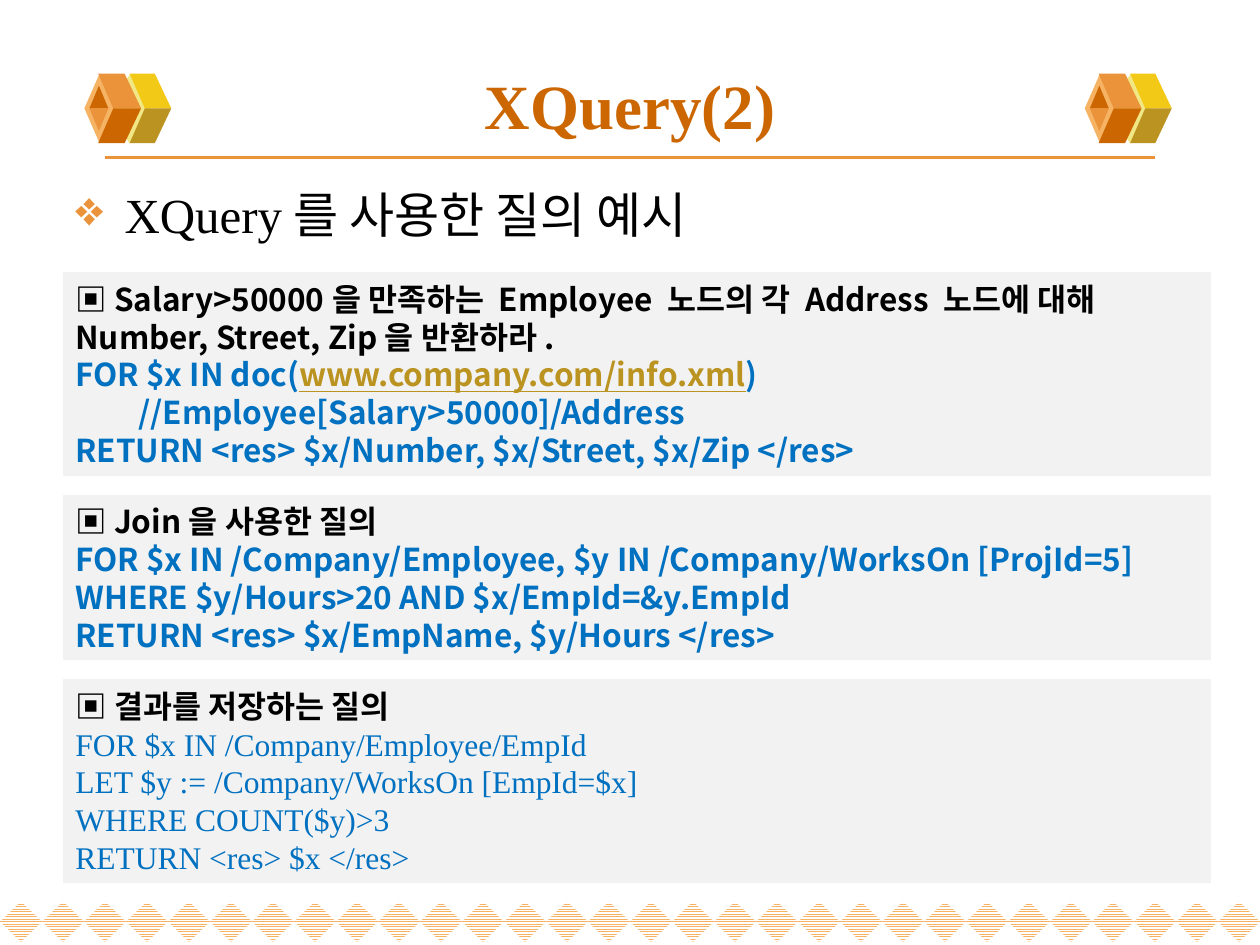
from lxml import etree
from pptx import Presentation
from pptx import util as u
from pptx.dml import color
from pptx.enum import dml, shapes, text
from pptx.oxml import ns

HUES = {
    "white": "FFFFFF", "black": "000000", "panel": "F2F2F2", "code": "0070C0",
    "rust": "CC6600", "orange": "EB933B", "peach": "F5B363",
    "cream": "F1E785", "yellow": "F3C917", "olive": "BB9321",
}
SERIF, SANS = "Times New Roman", "Noto Sans CJK KR"
COLS, ROWS = 100, 75


def rgb(name):
    """Return the named colour."""
    return color.RGBColor.from_string(HUES[name])


def node(root, tag, **attrs):
    """Append one drawing element to root."""
    return etree.SubElement(root, ns.qn(tag), attrs)


class Deck:
    """Hold the style and the current slide, on a 100 by 75 grid."""

    def __init__(self):
        self.prs = Presentation()
        self.prs.slide_width, self.prs.slide_height = u.Inches(10), u.Inches(7.5)
        self.slide = self.prs.slides.add_slide(self.prs.slide_layouts[6])
        self.items = self.slide.shapes

    def x(self, col):
        """Turn columns into a length."""
        return round(self.prs.slide_width * col / COLS)

    def y(self, row):
        """Turn rows into a length."""
        return round(self.prs.slide_height * row / ROWS)

    def area(self, box):
        """Turn a grid box into lengths."""
        left, top, wide, high = box
        return self.x(left), self.y(top), self.x(wide), self.y(high)

    def paint(self, item, hue):
        """Give a shape a plain fill without line or shadow."""
        item.shadow.inherit = False
        item.line.fill.background()
        item.fill.solid()
        item.fill.fore_color.rgb = rgb(hue)
        return item

    def shape(self, kind, box, hue):
        """Add a preset shape."""
        return self.paint(self.items.add_shape(kind, *self.area(box)), hue)

    def hatch(self, box, hue):
        """Add a diamond with narrow stripes."""
        fill = self.shape(shapes.MSO_SHAPE.DIAMOND, box, hue).fill
        fill.patterned()
        fill.pattern = dml.MSO_PATTERN.NARROW_HORIZONTAL
        fill.fore_color.rgb, fill.back_color.rgb = rgb(hue), rgb("white")

    def poly(self, dots, hue):
        """Add a closed outline."""
        spots = [(self.x(a), self.y(b)) for a, b in dots]
        pen = self.items.build_freeform(*spots[0])
        pen.add_line_segments(spots[1:], close=True)
        self.paint(pen.convert_to_shape(), hue)

    def rule(self, start, end, hue, size):
        """Add a straight line."""
        line = self.items.add_connector(
            shapes.MSO_CONNECTOR.STRAIGHT, self.x(start[0]), self.y(start[1]),
            self.x(end[0]), self.y(end[1]))
        line.line.color.rgb, line.line.width = rgb(hue), u.Pt(size)
        node(line._element.spPr, "a:effectLst")

    def style(self, run, size, hue, face=SANS, bold=True, under=False):
        """Format one run."""
        font = run.font
        font.size, font.name, font.bold = u.Pt(size), face, bold
        font.color.rgb = rgb(hue)
        if under:
            font.underline = True
        node(font._element, "a:ea", typeface=SANS)

    def label(self, box, words, size, hue, bold=False, lead=None):
        """Add a text box with one serif paragraph."""
        frame = self.items.add_textbox(*self.area(box)).text_frame
        frame.word_wrap = True
        para = frame.paragraphs[0]
        para.text = words
        if lead:
            para.line_spacing = u.Pt(lead)
        self.style(para.runs[0], size, hue, SERIF, bold)
        return frame

    def bullet(self, para, mark, hue, dent):
        """Give a paragraph a coloured bullet and a hanging indent."""
        prop = para._p.get_or_add_pPr()
        prop.set("marL", str(self.x(dent)))
        prop.set("indent", str(-self.x(dent)))
        node(node(prop, "a:buClr"), "a:srgbClr", val=HUES[hue])
        node(prop, "a:buChar", char=mark)

    def panel(self, box, head, lines, face=SANS):
        """Add a grey panel with a heading and lines of code."""
        frame = self.shape(shapes.MSO_SHAPE.RECTANGLE, box, "panel").text_frame
        frame.word_wrap = True
        frame.vertical_anchor = text.MSO_ANCHOR.MIDDLE
        for i, line in enumerate([head] + lines):
            para = frame.add_paragraph() if i else frame.paragraphs[0]
            para.alignment, para.line_spacing = text.PP_ALIGN.LEFT, u.Pt(21.6)
            for j, part in enumerate(line.split("|")):
                run = para.add_run()
                run.text = part
                link = j == 1
                hue = "olive" if link else "code" if i else "black"
                font = face if i else SANS
                self.style(run, 18, hue, font, font == SANS, link)

    def cube(self, left):
        """Add the pair of boxes whose left tip is at the given column."""
        gem = shapes.MSO_SHAPE.DIAMOND
        mid = 8.6

        def side(near, far, rise, hue):
            dots = [(near + 1.2, mid), (far, mid), (far - 1.3, mid + rise), (near, mid + rise)]
            self.poly([(left + a, b) for a, b in dots], hue)

        self.shape(gem, (left + 1.95, 5.9, 3.3, 5.5), "cream")
        side(3.6, 6.9, -2.75, "yellow")
        side(3.6, 6.9, 2.75, "olive")
        self.shape(gem, (left, 5.85, 2.4, 5.5), "peach")
        side(1.1, 4.5, -2.75, "orange")
        side(1.1, 4.5, 2.75, "rust")
        for rise, hue in ((-1.8, "rust"), (1.8, "orange")):
            dots = [(1.15, mid + rise), (0.4, mid), (1.9, mid)]
            self.poly([(left + a, b) for a, b in dots], hue)


deck = Deck()
COUNT = 30
for i in range(COUNT):
    step = COLS / COUNT
    deck.hatch((i * step, 71.55, step, 3.2), "peach")

deck.rule((8.3, 12.5), (91.7, 12.5), "orange", 2.25)
for left in (6.7, 86.1):
    deck.cube(left)

title = deck.label((5, 4.5, 90, 7.6), "XQuery(2)", 36, "rust", True)
title.vertical_anchor = text.MSO_ANCHOR.MIDDLE
title.paragraphs[0].alignment = text.PP_ALIGN.CENTER

topic = deck.label((5, 13.5, 90, 6.7), "XQuery를 사용한 질의 예시", 28, "black", lead=36)
topic.margin_top = topic.margin_bottom = deck.y(0.8)
deck.bullet(topic.paragraphs[0], "❖", "orange", 3.9)

PANELS = [
    (16.2, "▣ Salary>50000을 만족하는 Employee 노드의 각 Address 노드에 대해 "
     "Number, Street, Zip을 반환하라.",
     ["FOR $x IN doc(|www.company.com/info.xml|)",
      "\t//Employee[Salary>50000]/Address",
      "RETURN <res> $x/Number, $x/Street, $x/Zip </res>"], SANS),
    (13.1, "▣ Join을 사용한 질의",
     ["FOR $x IN /Company/Employee, $y IN /Company/WorksOn [ProjId=5]",
      "WHERE $y/Hours>20 AND $x/EmpId=&y.EmpId",
      "RETURN <res> $x/EmpName, $y/Hours </res>"], SANS),
    (16.2, "▣ 결과를 저장하는 질의",
     ["FOR $x IN /Company/Employee/EmpId",
      "LET $y := /Company/WorksOn [EmpId=$x]",
      "WHERE COUNT($y)>3",
      "RETURN <res> $x </res>"], SERIF),
]
top = 21.6
for high, head, lines, face in PANELS:
    deck.panel((5, top, 91.1, high), head, lines, face)
    top += high + 1.5

deck.prs.save("out.pptx")
